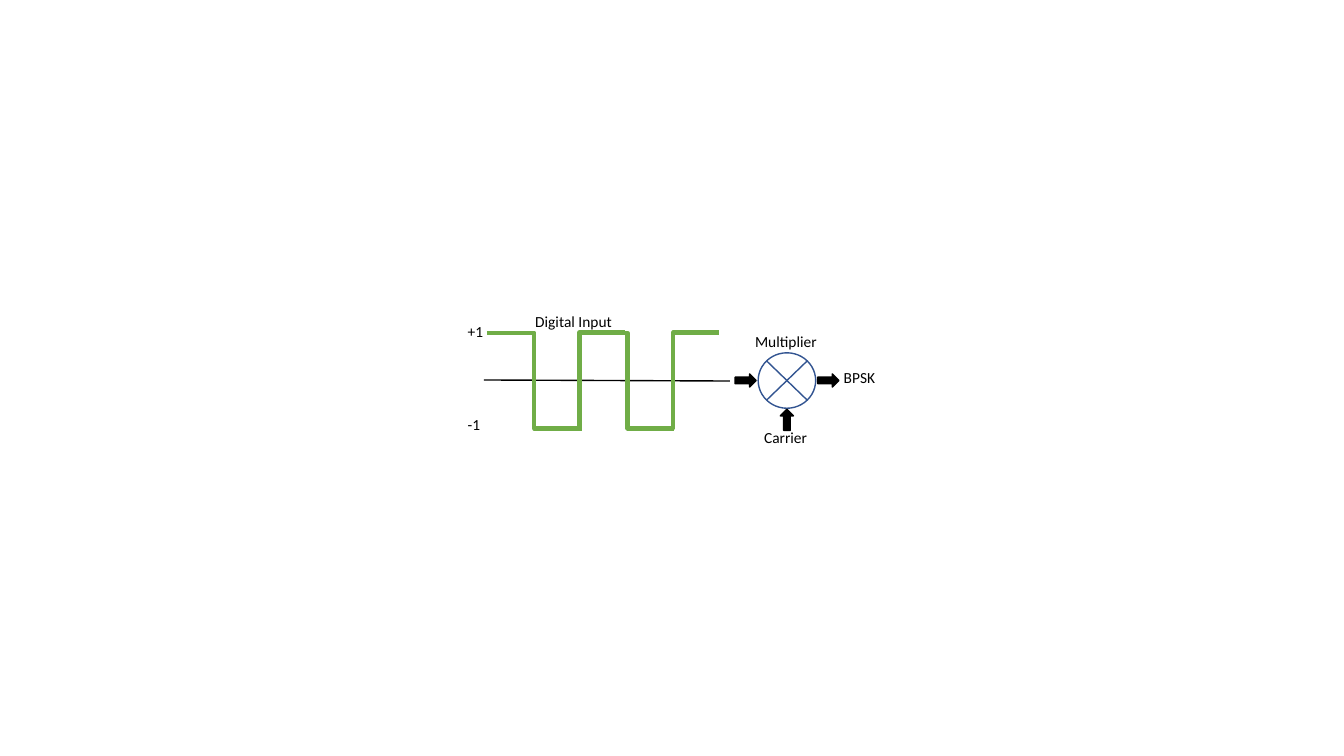
import pptx
import pptx.util
import pptx.dml.color
import pptx.enum.shapes
import pptx.enum.text
import pptx.oxml
import pptx.oxml.ns

Inches, Pt = pptx.util.Inches, pptx.util.Pt
Shape = pptx.enum.shapes.MSO_SHAPE
Link = pptx.enum.shapes.MSO_CONNECTOR

COLORS = {"ink": "000000", "wave": "70AD47", "ring": "325491"}
FONT = "Calibri"
HIGH, LOW = 3.3, 4.25
STEPS = [
    (4.83, HIGH, 5.77, LOW, 0.5),
    (5.52, LOW, 6.2, HIGH, 0.334),
    (5.76, HIGH, 6.69, LOW, 0.5),
    (6.45, LOW, 7.13, HIGH, 0.334),
]
ARROWS = [(7.29, 3.71, 0), (8.11, 3.71, 0), (7.7, 4.1, 270)]
LABELS = [
    ("Digital Input", 5.21, 3.04, 1.05, 0.28),
    ("BPSK", 8.27, 3.61, 0.53, 0.26),
    ("Carrier", 7.48, 4.2, 0.64, 0.26),
    ("Multiplier", 7.39, 3.24, 0.83, 0.28),
    ("+1", 4.54, 3.14, 0.37, 0.28),
    ("-1", 4.54, 4.06, 0.37, 0.28),
]


def color(name):
    return pptx.dml.color.RGBColor.from_string(COLORS[name])


def stroke(item, name, width):
    item.line.color.rgb = color(name)
    item.line.width = Pt(width)


def link(kind, ends, name, width):
    line = shapes.add_connector(kind, *map(Inches, ends))
    stroke(line, name, width)
    line._element.spPr.append(pptx.oxml.parse_xml(
        "<a:effectLst %s/>" % pptx.oxml.ns.nsdecls("a")))
    return line


def step(x1, y1, x2, y2, bend):
    line = link(Link.ELBOW, (x1, y1, x2, y2), "wave", 3)
    guides = line._element.spPr.find(".//" + pptx.oxml.ns.qn("a:avLst"))
    guides.append(pptx.oxml.parse_xml(
        '<a:gd %s name="adj1" fmla="val %d"/>'
        % (pptx.oxml.ns.nsdecls("a"), round(bend * 100000))))


def block(kind, box, edge, fill=None):
    item = shapes.add_shape(kind, *map(Inches, box))
    item.shadow.inherit = False
    stroke(item, edge, 1)
    if fill:
        item.fill.solid()
        item.fill.fore_color.rgb = color(fill)
    else:
        item.fill.background()
    return item


def label(text, *box):
    frame = shapes.add_textbox(*map(Inches, box)).text_frame
    frame.word_wrap = True
    frame.margin_right = 0
    frame.vertical_anchor = pptx.enum.text.MSO_ANCHOR.MIDDLE
    frame.text = text
    para = frame.paragraphs[0]
    para.line_spacing = 1.07
    font = para.runs[0].font
    font.name, font.size = FONT, Pt(11)
    font.color.rgb = color("ink")


deck = pptx.Presentation()
deck.slide_width, deck.slide_height = Inches(13.33), Inches(7.5)
shapes = deck.slides.add_slide(deck.slide_layouts[6]).shapes

label(*LABELS[0])
link(Link.STRAIGHT, (4.8, 3.77, 7.24, 3.78), "ink", 1)
for part in STEPS:
    step(*part)
block(Shape.FLOWCHART_SUMMING_JUNCTION, (7.52, 3.5, 0.57, 0.55), "ring")
for x, y, turn in ARROWS:
    block(Shape.RIGHT_ARROW, (x, y, 0.21, 0.13), "ink", "ink").rotation = turn
for part in LABELS[1:]:
    label(*part)

deck.save("out.pptx")
